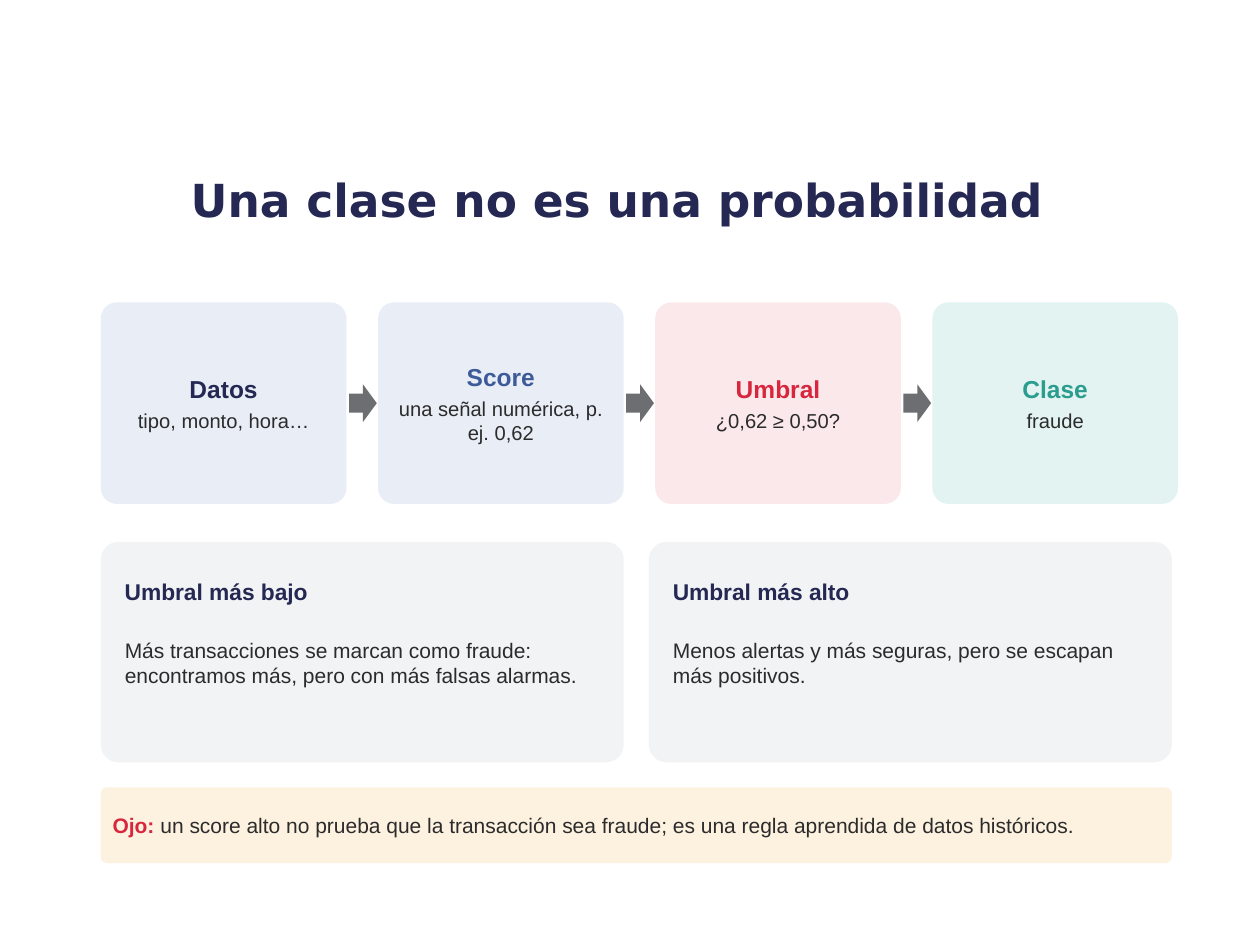
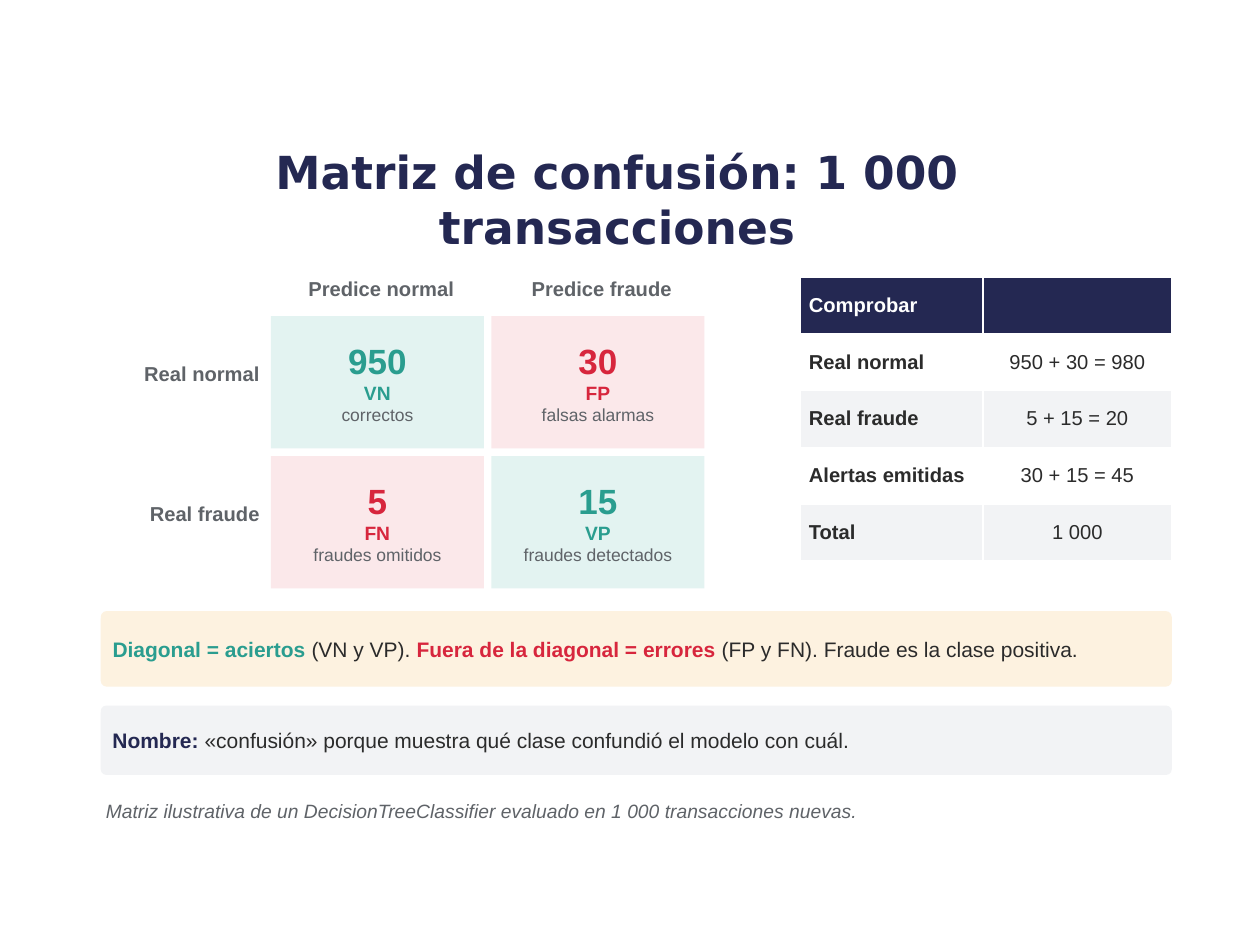
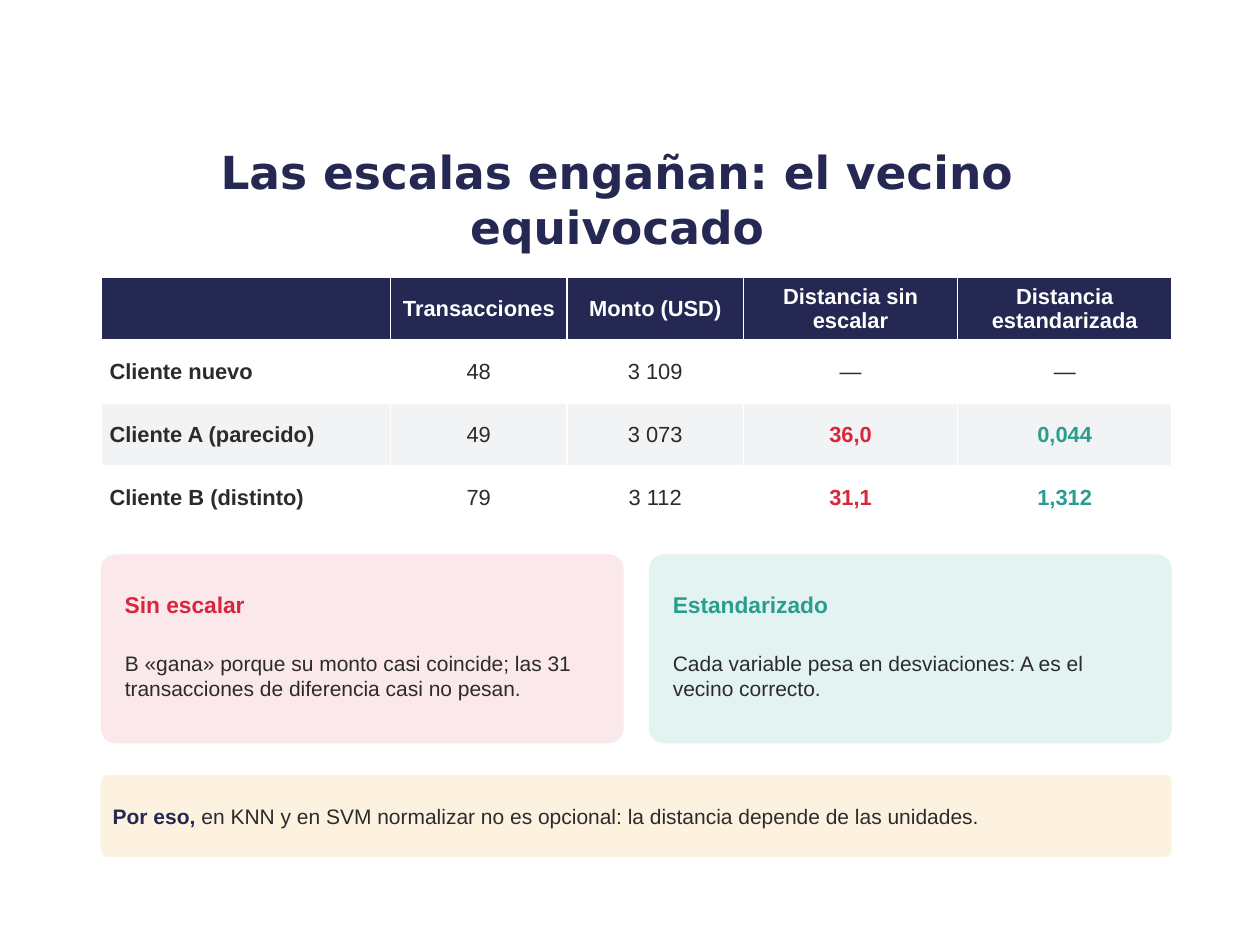
from pptx import Presentation
from pptx.dml.color import RGBColor
from pptx.enum import shapes, text
from pptx.util import Inches, Pt

NAVY, BLUE, RED, TEAL = "242852", "3D5A99", "D7263D", "2A9D8F"
INK, GREY, ARROW, WHITE = "2B2B2B", "5F6368", "6D6E71", "FFFFFF"
PALE_BLUE, PALE_RED, PALE_TEAL = "E8EDF6", "FBE8EA", "E3F3F1"
PALE_GREY, CREAM = "F2F3F5", "FDF2E0"

LEFT, WIDTH = 0.8, 8.5
CARD_WIDTH, CARD_PITCH = 4.15, 4.35
ALIGN = text.PP_ALIGN
MIDDLE, TOP = text.MSO_ANCHOR.MIDDLE, text.MSO_ANCHOR.TOP
SHAPE = shapes.MSO_SHAPE


def rgb(color):
    return RGBColor.from_string(color)


def span(words, size, color, bold=False, italic=False, name="Arial"):
    """Describe a run: its words and its font values."""
    return words, {"size": Pt(size), "color": color, "bold": bold,
                   "italic": italic, "name": name}


def write(frame, paragraphs, align=ALIGN.LEFT, after=0):
    """Fill a text frame; each paragraph is a list of spans."""
    for index, spans in enumerate(paragraphs):
        para = frame.add_paragraph() if index else frame.paragraphs[0]
        para.alignment = align
        para.space_after = Pt(after)
        for words, values in spans:
            run = para.add_run()
            run.text = words
            for key, value in values.items():
                if key == "color":
                    run.font.color.rgb = rgb(value)
                else:
                    setattr(run.font, key, value)


def set_frame(frame, anchor, across, down):
    values = {"word_wrap": True, "vertical_anchor": anchor,
              "margin_left": Inches(across), "margin_right": Inches(across),
              "margin_top": Inches(down), "margin_bottom": Inches(down)}
    for key, value in values.items():
        setattr(frame, key, value)


def add_panel(page, box, fill, kind=SHAPE.ROUNDED_RECTANGLE, inset=0.08):
    panel = page.shapes.add_shape(kind, *map(Inches, box))
    panel.shadow.inherit = False
    panel.fill.solid()
    panel.fill.fore_color.rgb = rgb(fill)
    panel.line.fill.background()
    if kind == SHAPE.ROUNDED_RECTANGLE:
        panel.adjustments[0] = 0.08
    set_frame(panel.text_frame, MIDDLE, inset, inset)
    return panel


def add_label(page, box, words, align=ALIGN.LEFT, anchor=TOP):
    frame = page.shapes.add_textbox(*map(Inches, box)).text_frame
    set_frame(frame, anchor, 0.04, 0.04)
    frame.auto_size = text.MSO_AUTO_SIZE.SHAPE_TO_FIT_TEXT
    write(frame, [[words]], align, after=4)


def add_page(deck, title):
    page = deck.slides.add_slide(deck.slide_layouts[6])
    box = page.shapes.add_textbox(*map(Inches, (0.75, 1.18, 8.3, 0.8)))
    set_frame(box.text_frame, MIDDLE, 0.1, 0.05)
    write(box.text_frame, [[span(title, 26, NAVY, True, name="DejaVu Sans")]],
          ALIGN.CENTER)
    return page


def add_note(page, top, height, fill, parts):
    """Add a full-width band; a part in any colour but INK is bold."""
    panel = add_panel(page, (LEFT, top, WIDTH, height), fill)
    spans = [span(words, 12, color, color != INK) for words, color in parts]
    write(panel.text_frame, [spans], after=3)


def add_cards(page, top, height, cards):
    """Add a row of cards, each with a heading and a body."""
    for index, (heading, color, fill, body) in enumerate(cards):
        left = LEFT + index * CARD_PITCH
        add_panel(page, (left, top, CARD_WIDTH, height), fill)
        add_label(page, (left + 0.15, top + 0.12, CARD_WIDTH - 0.25, 0.55),
                  span(heading, 13, color, True), anchor=MIDDLE)
        add_label(page, (left + 0.15, top + 0.72, CARD_WIDTH - 0.3, height - 0.8),
                  span(body, 12, INK))


def add_flow(page, top, steps):
    """Add a row of steps joined by arrows."""
    width, height, pitch = 1.95, 1.6, 2.2
    for index, (heading, color, fill, detail) in enumerate(steps):
        left = LEFT + index * pitch
        if index:
            add_panel(page, (left - 0.23, top + height / 2 - 0.15, 0.22, 0.3),
                      ARROW, SHAPE.RIGHT_ARROW)
        step = add_panel(page, (left, top, width, height), fill)
        write(step.text_frame,
              [[span(heading, 14, color, True)], [span(detail, 11.5, INK)]],
              ALIGN.CENTER, after=3)


def add_grid(page, left, top, widths, row_height, rows, size, accents=None):
    """Add a table; accents gives the bold colour of body columns by index."""
    accents = accents or {}
    table = page.shapes.add_table(
        len(rows), len(widths), Inches(left), Inches(top),
        Inches(sum(widths)), Inches(row_height * len(rows))).table
    for column, width in zip(table.columns, widths):
        column.width = Inches(width)
    for r, row in enumerate(rows):
        for c, words in enumerate(row):
            cell = table.cell(r, c)
            values = {"vertical_anchor": MIDDLE,
                      "margin_left": Inches(0.07), "margin_right": Inches(0.07),
                      "margin_top": Inches(0.03), "margin_bottom": Inches(0.03)}
            for key, value in values.items():
                setattr(cell, key, value)
            cell.fill.solid()
            fill = NAVY if r == 0 else WHITE if r % 2 else PALE_GREY
            cell.fill.fore_color.rgb = rgb(fill)
            if not words:
                continue
            accent = accents.get(c) if words != "—" else None
            color = WHITE if r == 0 else accent or INK
            bold = r == 0 or c == 0 or accent is not None
            write(cell.text_frame, [[span(words, size, color, bold)]],
                  ALIGN.CENTER if c else ALIGN.LEFT)


def add_matrix(page, left, top, columns, rows):
    """Add a confusion matrix whose diagonal holds the correct cases."""
    across, down = 1.75, 1.11
    for c, name in enumerate(columns):
        add_label(page, (left + c * across, top - 0.36, across, 0.32),
                  span(name, 11.5, GREY, True), ALIGN.CENTER)
    for r, (name, cells) in enumerate(rows):
        y = top + r * down
        add_label(page, (LEFT, y + 0.32, 1.3, 0.4),
                  span(name, 11.5, GREY, True), ALIGN.RIGHT)
        for c, (count, code, meaning) in enumerate(cells):
            color, fill = (TEAL, PALE_TEAL) if r == c else (RED, PALE_RED)
            cell = add_panel(page, (left + c * across, y, 1.69, 1.05), fill,
                             SHAPE.RECTANGLE, inset=0.02)
            write(cell.text_frame,
                  [[span(count, 20, color, True)], [span(code, 11, color, True)],
                   [span(meaning, 10, GREY)]], ALIGN.CENTER)


def build_threshold(deck):
    page = add_page(deck, "Una clase no es una probabilidad")
    add_flow(page, 2.4, [
        ("Datos", NAVY, PALE_BLUE, "tipo, monto, hora…"),
        ("Score", BLUE, PALE_BLUE, "una señal numérica, p. ej. 0,62"),
        ("Umbral", RED, PALE_RED, "¿0,62 ≥ 0,50?"),
        ("Clase", TEAL, PALE_TEAL, "fraude")])
    add_cards(page, 4.3, 1.75, [
        ("Umbral más bajo", NAVY, PALE_GREY,
         "Más transacciones se marcan como fraude: encontramos más, "
         "pero con más falsas alarmas."),
        ("Umbral más alto", NAVY, PALE_GREY,
         "Menos alertas y más seguras, pero se escapan más positivos.")])
    add_note(page, 6.25, 0.6, CREAM, [
        ("Ojo: ", RED),
        ("un score alto no prueba que la transacción sea fraude; "
         "es una regla aprendida de datos históricos.", INK)])


def build_confusion(deck):
    page = add_page(deck, "Matriz de confusión: 1 000 transacciones")
    add_matrix(page, 2.15, 2.51, ["Predice normal", "Predice fraude"], [
        ("Real normal", [("950", "VN", "correctos"),
                         ("30", "FP", "falsas alarmas")]),
        ("Real fraude", [("5", "FN", "fraudes omitidos"),
                         ("15", "VP", "fraudes detectados")])])
    add_grid(page, 6.35, 2.2, [1.45, 1.5], 0.45, [
        ("Comprobar", ""),
        ("Real normal", "950 + 30 = 980"),
        ("Real fraude", "5 + 15 = 20"),
        ("Alertas emitidas", "30 + 15 = 45"),
        ("Total", "1 000")], 11.5)
    add_note(page, 4.85, 0.6, CREAM, [
        ("Diagonal = aciertos ", TEAL), ("(VN y VP). ", INK),
        ("Fuera de la diagonal = errores ", RED),
        ("(FP y FN). Fraude es la clase positiva.", INK)])
    add_note(page, 5.6, 0.55, PALE_GREY, [
        ("Nombre: ", NAVY),
        ("«confusión» porque muestra qué clase confundió el modelo con cuál.", INK)])
    add_label(page, (LEFT, 6.3, WIDTH, 0.4), span(
        "Matriz ilustrativa de un DecisionTreeClassifier evaluado en "
        "1 000 transacciones nuevas.", 11, GREY, italic=True))


def build_scales(deck):
    page = add_page(deck, "Las escalas engañan: el vecino equivocado")
    add_grid(page, LEFT, 2.2, [2.3, 1.4, 1.4, 1.7, 1.7], 0.5, [
        ("", "Transacciones", "Monto (USD)", "Distancia sin escalar",
         "Distancia estandarizada"),
        ("Cliente nuevo", "48", "3 109", "—", "—"),
        ("Cliente A (parecido)", "49", "3 073", "36,0", "0,044"),
        ("Cliente B (distinto)", "79", "3 112", "31,1", "1,312")],
        12.5, accents={3: RED, 4: TEAL})
    add_cards(page, 4.4, 1.5, [
        ("Sin escalar", RED, PALE_RED,
         "B «gana» porque su monto casi coincide; las 31 transacciones "
         "de diferencia casi no pesan."),
        ("Estandarizado", TEAL, PALE_TEAL,
         "Cada variable pesa en desviaciones: A es el vecino correcto.")])
    add_note(page, 6.15, 0.65, CREAM, [
        ("Por eso, ", NAVY),
        ("en KNN y en SVM normalizar no es opcional: "
         "la distancia depende de las unidades.", INK)])


def main():
    deck = Presentation()
    deck.slide_width, deck.slide_height = Inches(10), Inches(7.5)
    for build in (build_threshold, build_confusion, build_scales):
        build(deck)
    deck.save("out.pptx")


if __name__ == "__main__":
    main()
